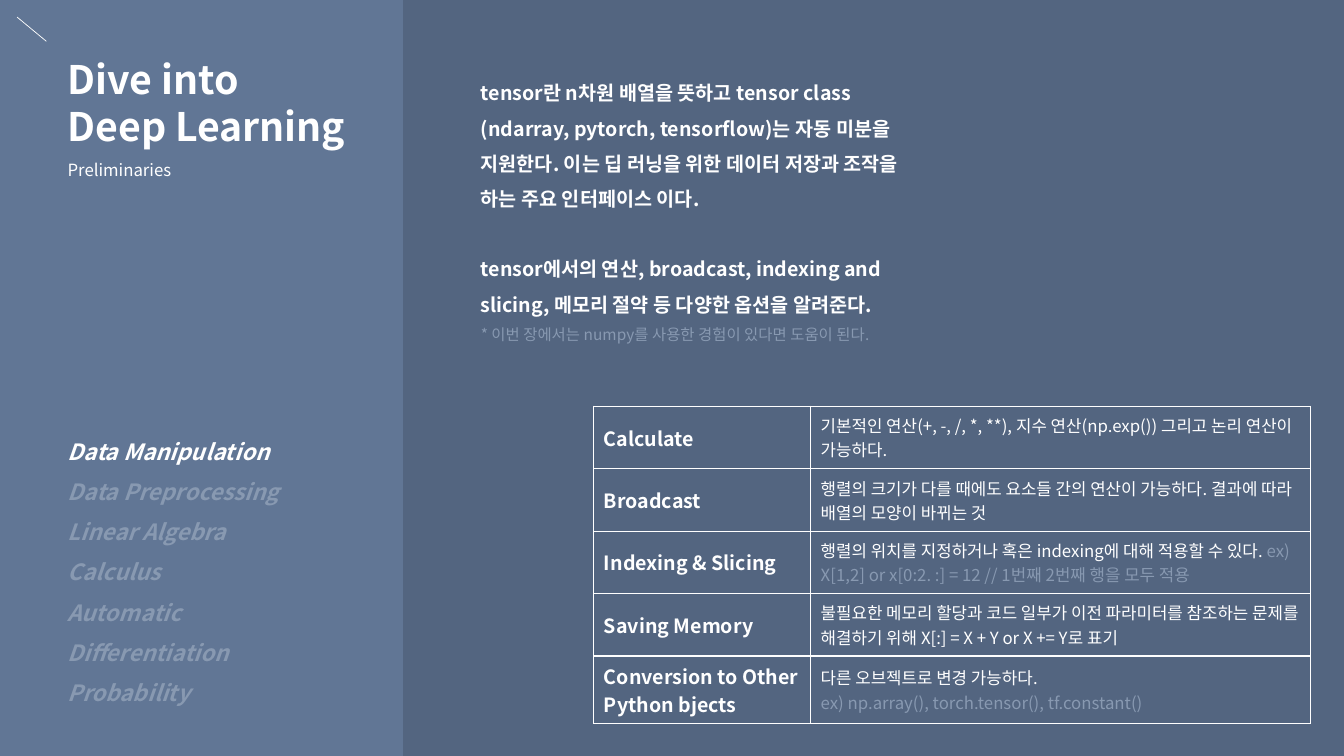
from dataclasses import dataclass

from lxml.etree import SubElement
from pptx import Presentation
from pptx.dml.color import RGBColor
from pptx.enum.shapes import MSO_CONNECTOR
from pptx.enum.text import MSO_ANCHOR, MSO_AUTO_SIZE, PP_ALIGN
from pptx.oxml.ns import qn
from pptx.util import Inches, Pt

TITLE = ["Dive into", "Deep Learning"]
SUBTITLE = "Preliminaries"
CHAPTERS = ["Data Manipulation", "Data Preprocessing", "Linear Algebra",
            "Calculus", "Automatic Differentiation", "Probability"]
SUMMARY = [
    "tensor란 n차원 배열을 뜻하고 tensor class (ndarray, pytorch, tensorflow)는 자동 미분을 "
    "지원한다. 이는 딥 러닝을 위한 데이터 저장과 조작을 하는 주요 인터페이스 이다.",
    "tensor에서의 연산, broadcast, indexing and slicing, 메모리 절약 등 다양한 옵션을 알려준다.",
]
FOOTNOTE = "* 이번 장에서는 numpy를 사용한 경험이 있다면 도움이 된다."
# Topic, then the paragraphs about it; the second run of a paragraph is an example.
TOPICS = [
    ("Calculate",
     [["기본적인 연산(+, -, /, *, **), 지수 연산(np.exp()) 그리고 논리 연산이 가능하다."]]),
    ("Broadcast",
     [["행렬의 크기가 다를 때에도 요소들 간의 연산이 가능하다. 결과에 따라 배열의 모양이 바뀌는 것"]]),
    ("Indexing & Slicing",
     [["행렬의 위치를 지정하거나 혹은 indexing에 대해 적용할 수 있다. ",
       "ex) X[1,2] or x[0:2. :] = 12 // 1번째 2번째 행을 모두 적용"]]),
    ("Saving Memory",
     [["불필요한 메모리 할당과 코드 일부가 이전 파라미터를 참조하는 문제를 해결하기 위해 "
       "X[:] = X + Y or X += Y로 표기"]]),
    ("Conversion to Other Python bjects",
     [["다른 오브젝트로 변경 가능하다."],
      ["", "ex) np.array(), torch.tensor(), tf.constant()"]]),
]


@dataclass(frozen=True)
class Theme:
    font: str = "Noto Sans CJK KR"
    white: RGBColor = RGBColor(0xFF, 0xFF, 0xFF)
    muted: RGBColor = RGBColor(0x88, 0x99, 0xB1)
    sidebar: RGBColor = RGBColor(0x61, 0x76, 0x95)
    backdrop: RGBColor = RGBColor(0x53, 0x65, 0x80)
    title: int = 28
    chapter: int = 16
    body: int = 14
    detail: int = 12
    footnote: int = 11


THEME = Theme()
WIDTH, HEIGHT = 13.33, 7.5
SIDEBAR_SHARE = 0.3
SIDEBAR_LEFT, SIDEBAR_WIDTH = 0.57, 2.97
TABLE_LEFT, TABLE_TOP, ROW_HEIGHT = 5.89, 4.03, 0.62
COLUMNS = (2.15, 4.96)
LOOSE = 1.5


def style(paragraph, size, color=THEME.white, bold=False, italic=False, spacing=1.0):
    font = paragraph.font
    font.size, font.bold, font.italic = Pt(size), bold, italic
    font.color.rgb = color
    font.name = THEME.font
    SubElement(font._element, qn("a:ea"), typeface=THEME.font)
    paragraph.alignment = PP_ALIGN.LEFT
    paragraph.line_spacing = spacing


def write(frame, texts):
    """Put one paragraph per text into the frame and return the paragraphs."""
    frame.text = "\n".join(texts)
    frame.word_wrap = True
    frame.auto_size = MSO_AUTO_SIZE.NONE
    frame.vertical_anchor = MSO_ANCHOR.TOP
    return frame.paragraphs


def add_text(slide, left, top, width, height, texts):
    box = slide.shapes.add_textbox(*map(Inches, (left, top, width, height)))
    return write(box.text_frame, texts)


def paint_background(slide):
    fill = slide.background.fill
    fill.gradient()
    fill.gradient_angle = 0
    for stop, color in zip(fill.gradient_stops, (THEME.sidebar, THEME.backdrop)):
        stop.position = SIDEBAR_SHARE
        stop.color.rgb = color


def add_corner_line(slide):
    line = slide.shapes.add_connector(
        MSO_CONNECTOR.STRAIGHT, *map(Inches, (0.17, 0.17, 0.46, 0.41)))
    line.line.color.rgb = THEME.white
    line.line.width = Pt(0.5)
    SubElement(line._element.spPr, qn("a:effectLst"))


def fill_title(slide):
    title = slide.shapes.title
    title.left, title.top = Inches(SIDEBAR_LEFT), Inches(0.5)
    title.width, title.height = Inches(SIDEBAR_WIDTH), Inches(1.31)
    *headings, subtitle = write(title.text_frame, [*TITLE, SUBTITLE])
    for paragraph in headings:
        style(paragraph, THEME.title, bold=True)
    style(subtitle, THEME.detail, spacing=LOOSE)


def add_chapters(slide):
    paragraphs = add_text(slide, SIDEBAR_LEFT, 4.16, SIDEBAR_WIDTH, 2.47, CHAPTERS)
    for index, paragraph in enumerate(paragraphs):
        color = THEME.muted if index else THEME.white
        style(paragraph, THEME.chapter, color, bold=True, italic=True, spacing=LOOSE)


def add_summary(slide):
    *summary, footnote = add_text(slide, 4.67, 0.64, 4.59, 2.82, [*SUMMARY, FOOTNOTE])
    for paragraph in summary:
        style(paragraph, THEME.body, bold=True, spacing=LOOSE)
    summary[1].space_before = Pt(25)
    style(footnote, THEME.footnote, THEME.muted, spacing=LOOSE)


def format_cell(cell):
    cell.vertical_anchor = MSO_ANCHOR.MIDDLE
    properties = cell._tc.get_or_add_tcPr()
    for side in ("a:lnL", "a:lnR", "a:lnT", "a:lnB"):
        border = SubElement(properties, qn(side), w=str(Pt(1)))
        solid = SubElement(border, qn("a:solidFill"))
        SubElement(solid, qn("a:srgbClr"), val=str(THEME.white))
    cell.fill.background()


def write_details(frame, details):
    for index, runs in enumerate(details):
        paragraph = frame.add_paragraph() if index else frame.paragraphs[0]
        style(paragraph, THEME.detail)
        for text, color in zip(runs, (THEME.white, THEME.muted)):
            if text:
                run = paragraph.add_run()
                run.text = text
                run.font.color.rgb = color


def add_topics(slide):
    frame = slide.shapes.add_table(
        len(TOPICS), len(COLUMNS), Inches(TABLE_LEFT), Inches(TABLE_TOP),
        Inches(sum(COLUMNS)), Inches(ROW_HEIGHT * len(TOPICS)))
    table = frame.table
    table.first_row = table.horz_banding = False
    for column, width in zip(table.columns, COLUMNS):
        column.width = Inches(width)
    for row, (topic, details) in zip(table.rows, TOPICS):
        row.height = Inches(ROW_HEIGHT)
        name_cell, detail_cell = row.cells
        name_cell.text = topic
        style(name_cell.text_frame.paragraphs[0], THEME.body, bold=True)
        write_details(detail_cell.text_frame, details)
        for cell in row.cells:
            format_cell(cell)


def main():
    presentation = Presentation()
    presentation.slide_width, presentation.slide_height = Inches(WIDTH), Inches(HEIGHT)
    slide = presentation.slides.add_slide(presentation.slide_layouts.get_by_name("Title Only"))
    paint_background(slide)
    add_corner_line(slide)
    fill_title(slide)
    add_summary(slide)
    add_topics(slide)
    add_chapters(slide)
    presentation.save("out.pptx")


if __name__ == "__main__":
    main()
